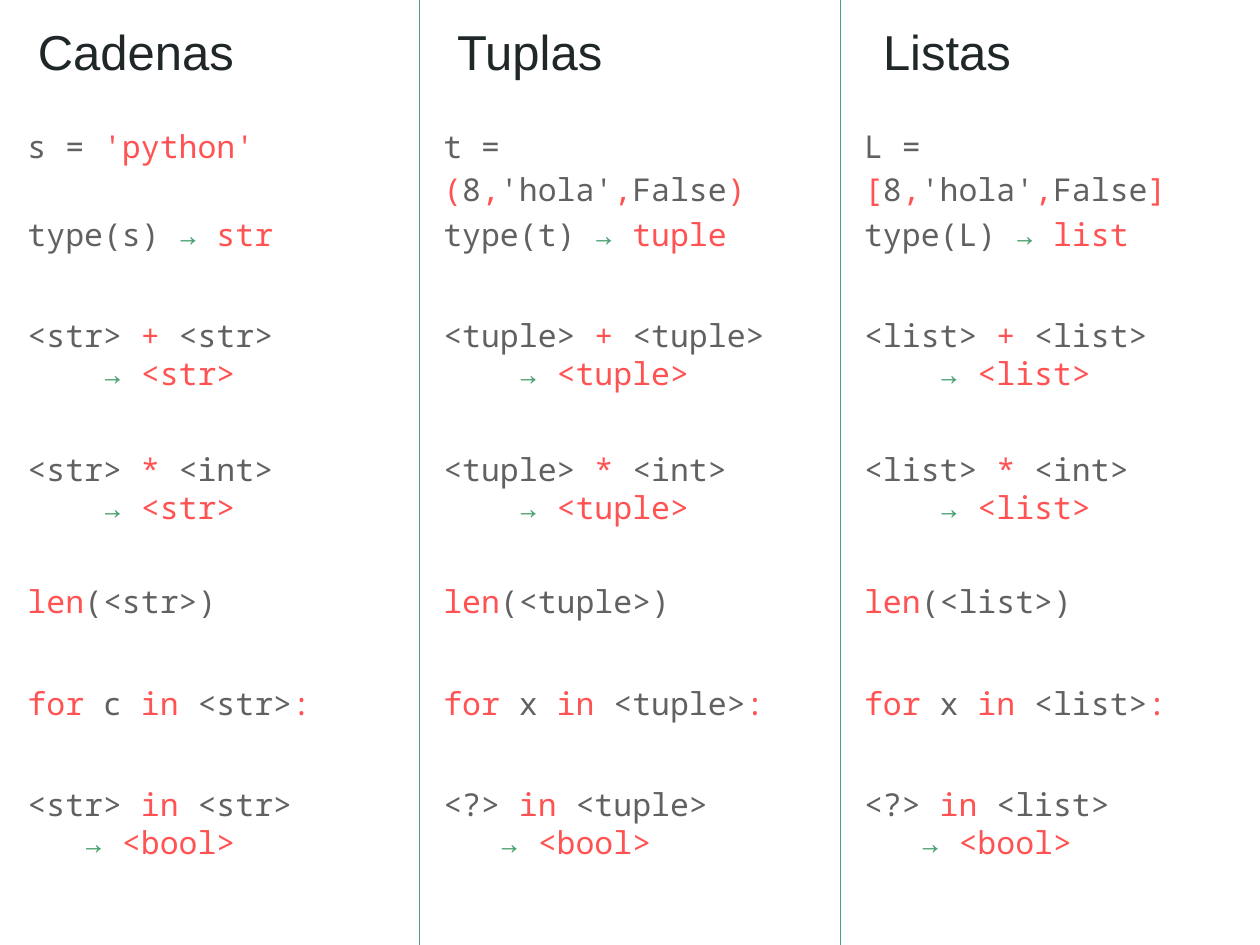
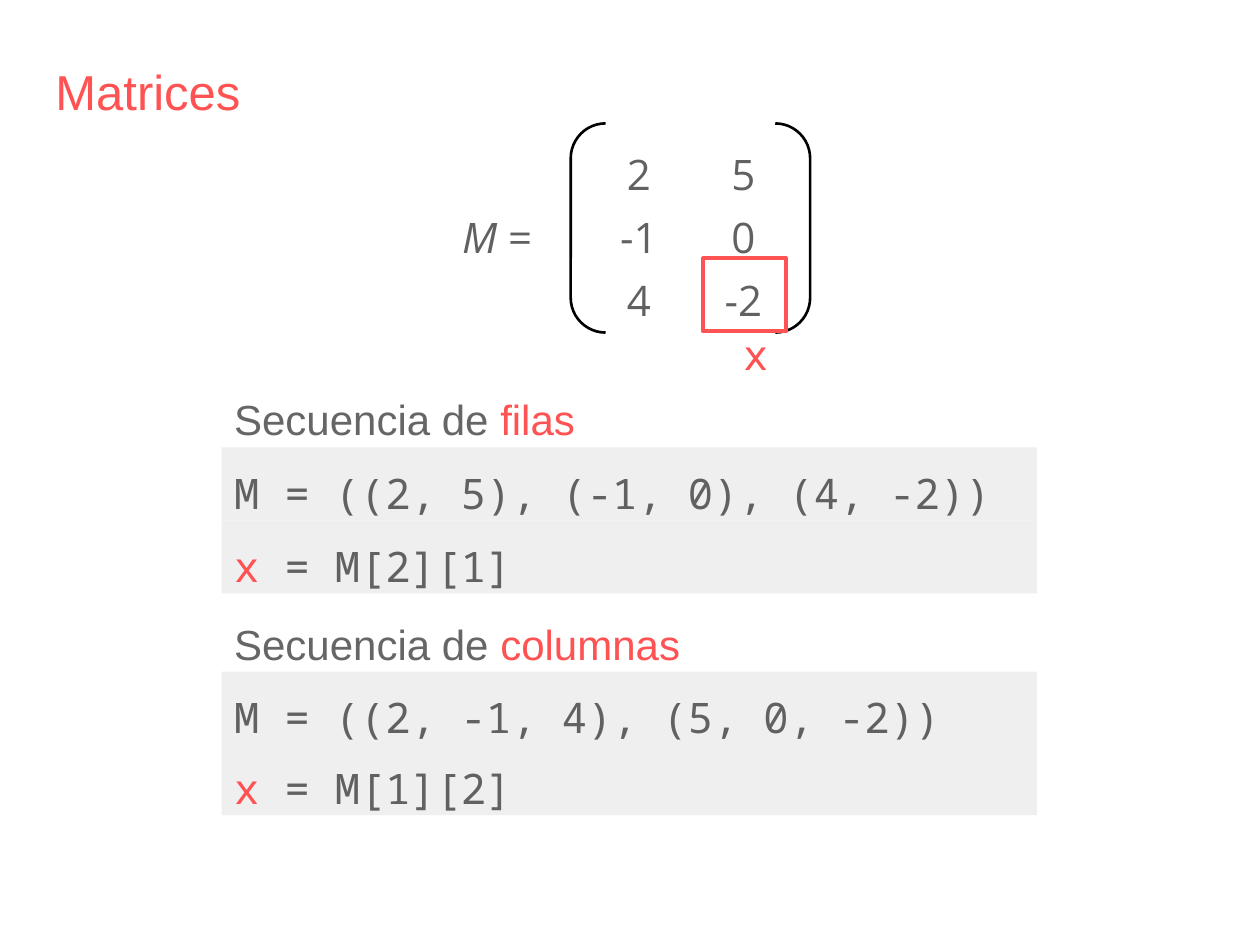
import pptx
import pptx.dml.color
import pptx.enum.shapes
import pptx.enum.text
import pptx.oxml.ns
import pptx.util
from lxml import etree

Inches = pptx.util.Inches
Pt = pptx.util.Pt
RGBColor = pptx.dml.color.RGBColor
MSO_SHAPE = pptx.enum.shapes.MSO_SHAPE
PP_ALIGN = pptx.enum.text.PP_ALIGN

COLORS = {
    "title": "202729",
    "text": "616161",
    "caption": "666666",
    "accent": "FF5252",
    "green": "4BA173",
    "panel": "EFEFEF",
    "bracket": "000000",
}
HEADING_FONT = "Arial"
CODE_FONT = "Noto Sans Mono"
MATH_FONT = "Open Sans"
TITLE_SIZE = 28
CODE_SIZE = 18
LARGE_SIZE = 24


def write_text(shape, lines, font, size, align=PP_ALIGN.LEFT, spacing=1.0, indent=0):
    """Fill a shape with lines of (text, color name) runs; lines after the first are indented."""
    frame = shape.text_frame
    frame.word_wrap = True
    frame.auto_size = pptx.enum.text.MSO_AUTO_SIZE.NONE
    frame.vertical_anchor = pptx.enum.text.MSO_ANCHOR.TOP
    frame.margin_left = frame.margin_right = Inches(0.1)
    frame.margin_top = frame.margin_bottom = Inches(0.1)
    for number, line in enumerate(lines):
        paragraph = frame.add_paragraph() if number else frame.paragraphs[0]
        paragraph.alignment = align
        paragraph.line_spacing = spacing
        if number:
            paragraph._p.get_or_add_pPr().set("marL", str(Inches(indent)))
        for text, color in line:
            run = paragraph.add_run()
            run.text = text
            run.font.name = font
            run.font.size = Pt(size)
            run.font.color.rgb = RGBColor.from_string(COLORS[color])


def place_title(slide, left, top, width, height):
    title = slide.shapes.title
    title.left, title.top = Inches(left), Inches(top)
    title.width, title.height = Inches(width), Inches(height)
    return title


presentation = pptx.Presentation()
presentation.slide_width = Inches(10)
presentation.slide_height = Inches(7.5)
title_only = presentation.slide_layouts[5]

# Slide 1: strings, tuples and lists side by side
slide = presentation.slides.add_slide(title_only)

for divider_x in (3.33, 6.67):
    divider = slide.shapes.add_connector(
        pptx.enum.shapes.MSO_CONNECTOR.STRAIGHT,
        Inches(divider_x), Inches(-0.04), Inches(divider_x), Inches(7.54))
    divider.line.color.rgb = RGBColor.from_string(COLORS["green"])
    divider.line.width = Pt(0.75)
    etree.SubElement(divider._element.spPr, pptx.oxml.ns.qn("a:effectLst"))

string_value = [("'python'", "accent")]
tuple_value, list_value = [
    [(opening, "accent"), ("8", "text"), (",", "accent"), ("'hola'", "text"),
     (",", "accent"), ("False", "text"), (closing, "accent")]
    for opening, closing in ("()", "[]")
]

# heading, heading left, code left, variable, value, type, loop variable, member
sequences = [
    ("Cadenas", 0.2, 0.12, "s", string_value, "str", "c", "<str>"),
    ("Tuplas", 3.53, 3.42, "t", tuple_value, "tuple", "x", "<?>"),
    ("Listas", 6.91, 6.76, "L", list_value, "list", "x", "<?>"),
]
arrow = ("→ ", "green")

for heading, heading_left, code_left, variable, value, kind, item, member in sequences:
    if heading == "Cadenas":
        heading_box = place_title(slide, heading_left, 0.07, 2.89, 0.67)
    else:
        heading_box = slide.shapes.add_textbox(
            Inches(heading_left), Inches(0.07), Inches(2.89), Inches(0.67))
    write_text(heading_box, [[(heading, "title")]], HEADING_FONT, TITLE_SIZE)

    tag = f"<{kind}>"
    # top, height, line spacing, indent of the result, lines
    operations = [
        (0.86, 0.52, 1.15, 0, [[(f"{variable} = ", "text"), *value]]),
        (1.61, 0.57, 1.0, 0, [[(f"type({variable}) ", "text"), arrow, (kind, "accent")]]),
        (2.41, 0.82, 1.0, 0.6, [[(f"{tag} ", "text"), ("+", "accent"), (f" {tag}", "text")],
                                [arrow, (tag, "accent")]]),
        (3.47, 0.82, 1.0, 0.6, [[(f"{tag} ", "text"), ("*", "accent"), (" <int>", "text")],
                                [arrow, (tag, "accent")]]),
        (4.52, 0.57, 1.0, 0, [[("len", "accent"), (f"({tag})", "text")]]),
        (5.33, 0.57, 1.0, 0, [[("for", "accent"), (f" {item} ", "text"), ("in", "accent"),
                               (f" {tag}", "text"), (":", "accent")]]),
        (6.13, 0.82, 1.0, 0.45, [[(f"{member} ", "text"), ("in", "accent"), (f" {tag}", "text")],
                                 [arrow, ("<bool>", "accent")]]),
    ]
    for top, height, spacing, indent, lines in operations:
        code_box = slide.shapes.add_textbox(
            Inches(code_left), Inches(top), Inches(3.16), Inches(height))
        write_text(code_box, lines, CODE_FONT, CODE_SIZE, spacing=spacing, indent=indent)

# Slide 2: matrices as nested sequences
slide = presentation.slides.add_slide(title_only)
title = place_title(slide, 0.34, 0.39, 9.32, 0.83)
write_text(title, [[("Matrices", "accent")]], HEADING_FONT, TITLE_SIZE)

matrix_name = slide.shapes.add_textbox(Inches(3.57), Inches(1.52), Inches(0.97), Inches(0.58))
write_text(matrix_name, [[("M", "text"), (" =", "text")]], MATH_FONT, LARGE_SIZE, spacing=1.15)
matrix_name.text_frame.paragraphs[0].runs[0].font.italic = True

matrix = [("2", "5"), ("-1", "0"), ("4", "-2")]
for row, numbers in enumerate(matrix):
    for column, number in enumerate(numbers):
        number_box = slide.shapes.add_textbox(
            Inches(4.8 + 0.83 * column), Inches(1.02 + 0.5 * row), Inches(0.54), Inches(0.58))
        write_text(number_box, [[(number, "text")]], MATH_FONT, LARGE_SIZE,
                   align=PP_ALIGN.CENTER, spacing=1.15)

outlines = [
    (MSO_SHAPE.DOUBLE_BRACKET, 4.53, 0.98, 1.9, 1.66, "bracket", 1.5),
    (MSO_SHAPE.RECTANGLE, 5.58, 2.05, 0.66, 0.58, "accent", 2.25),
]
for preset, left, top, width, height, color, weight in outlines:
    outline = slide.shapes.add_shape(
        preset, Inches(left), Inches(top), Inches(width), Inches(height))
    outline.shadow.inherit = False
    outline.fill.background()
    outline.line.color.rgb = RGBColor.from_string(COLORS[color])
    outline.line.width = Pt(weight)

element_label = slide.shapes.add_textbox(Inches(5.8), Inches(2.45), Inches(0.5), Inches(0.58))
write_text(element_label, [[("x", "accent")]], CODE_FONT, LARGE_SIZE, spacing=1.15)

# order, caption top, matrix code top, element code top, matrix code, element code
layouts = [
    ("filas", 3.02, 3.55, 4.13, "M = ((2, 5), (-1, 0), (4, -2))", " = M[2][1]"),
    ("columnas", 4.81, 5.33, 5.89, "M = ((2, -1, 4), (5, 0, -2))", " = M[1][2]"),
]
for order, caption_top, matrix_top, element_top, matrix_code, element_code in layouts:
    code_lines = [
        (matrix_top, [(matrix_code, "text")]),
        (element_top, [("x", "accent"), (element_code, "text")]),
    ]
    for top, line in code_lines:
        panel = slide.shapes.add_shape(
            MSO_SHAPE.RECTANGLE, Inches(1.76), Inches(top), Inches(6.47), Inches(0.58))
        panel.shadow.inherit = False
        panel.fill.solid()
        panel.fill.fore_color.rgb = RGBColor.from_string(COLORS["panel"])
        panel.line.fill.background()
        write_text(panel, [line], CODE_FONT, LARGE_SIZE, spacing=1.15)

    caption = slide.shapes.add_textbox(
        Inches(1.76), Inches(caption_top), Inches(5.14), Inches(0.58))
    write_text(caption, [[("Secuencia de ", "caption"), (order, "accent")]],
               HEADING_FONT, LARGE_SIZE)

presentation.save("out.pptx")
